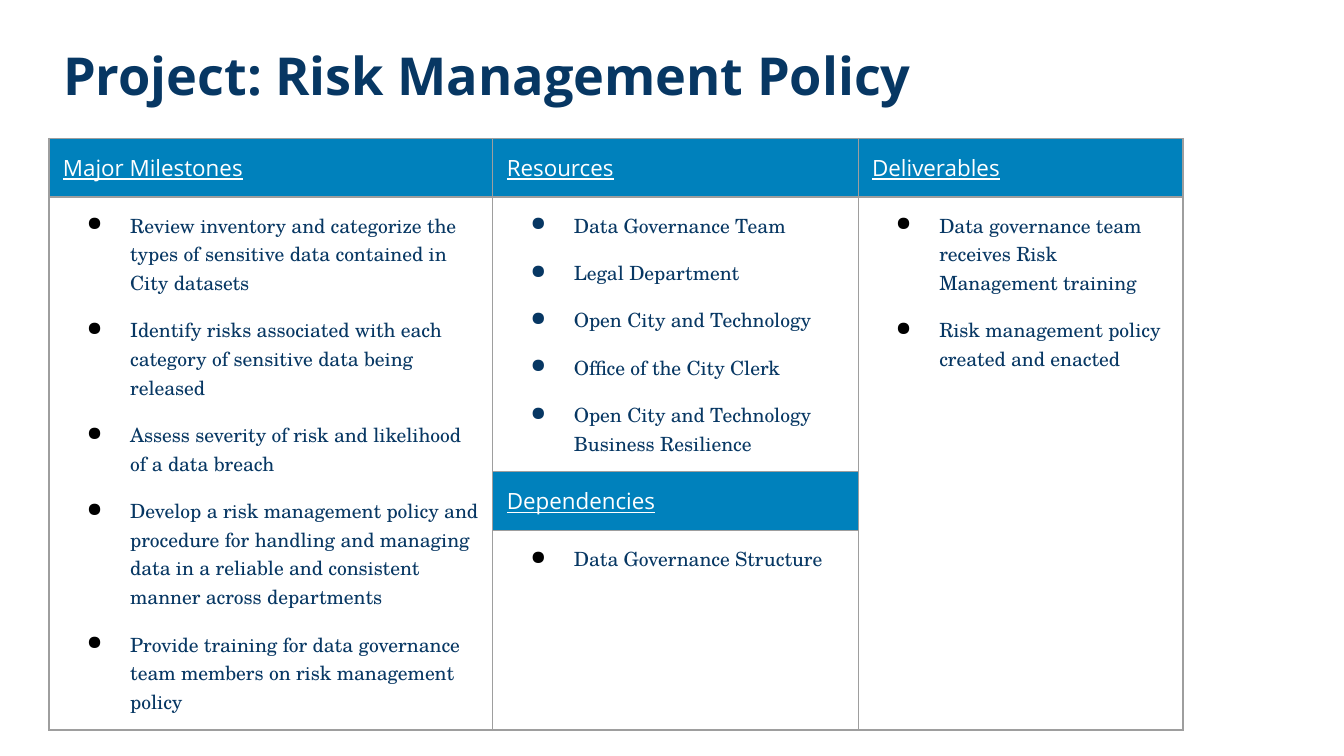
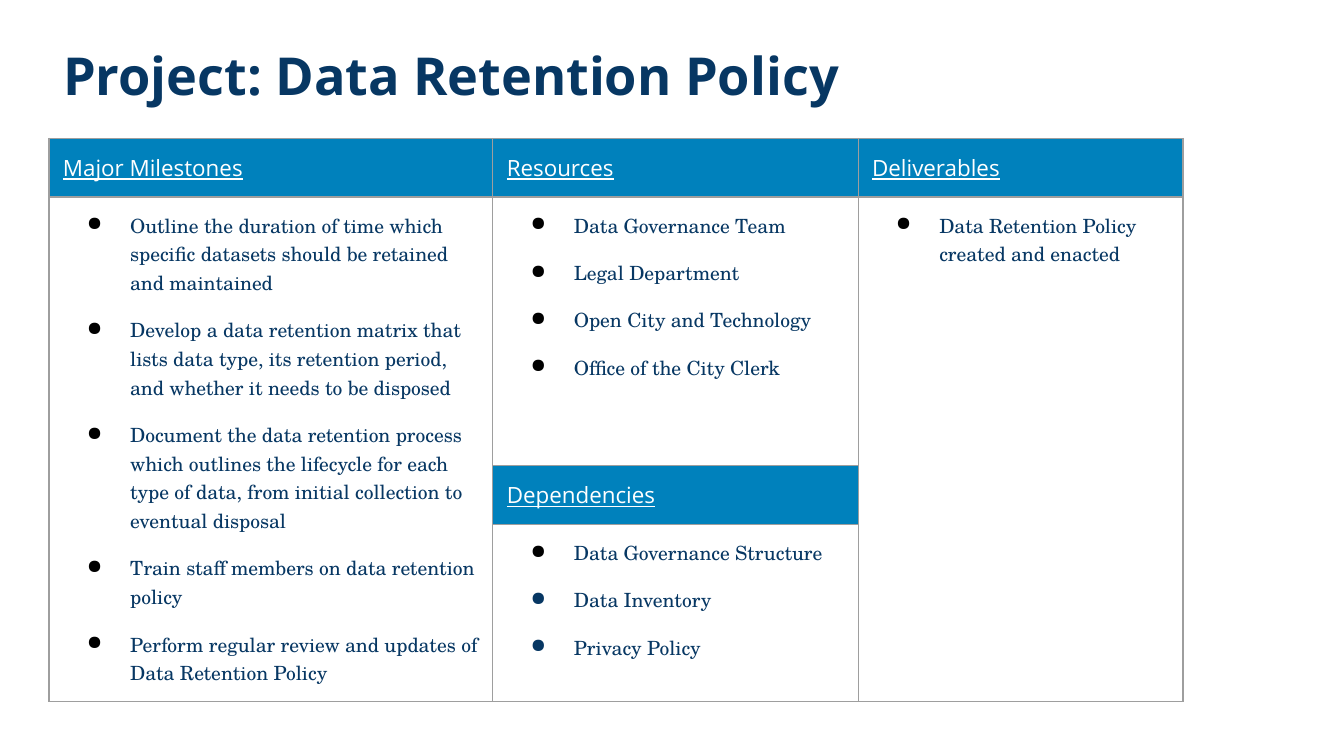
from dataclasses import dataclass

from lxml.etree import SubElement
from pptx import Presentation
from pptx.dml.color import RGBColor
from pptx.enum.text import MSO_ANCHOR, MSO_AUTO_SIZE, PP_ALIGN
from pptx.oxml import parse_xml
from pptx.oxml.ns import nsdecls, qn
from pptx.util import Pt

PX = 9525


@dataclass(frozen=True)
class Theme:
    navy: str = "073763"
    blue: str = "0081BC"
    white: str = "FFFFFF"
    black: str = "000000"
    rule: str = "9E9E9E"
    heading_font: str = "Open Sans"
    body_font: str = "TeX Gyre Schola"
    title_size: float = 28
    heading_size: float = 12
    body_size: float = 10.5
    item_gap: float = 10
    rule_width: float = 0.75


theme = Theme()
INSET = 10 * PX
BULLET_LEFT, BULLET_HANG = 48 * PX, 31 * PX
COLUMN_WIDTHS = [317, 261, 232]
HEADINGS = {
    (0, 0): "Major Milestones",
    (0, 1): "Resources",
    (0, 2): "Deliverables",
    (2, 1): "Dependencies",
}

projects = [
    {
        "title": "Project: Risk Management Policy",
        "row_heights": [36, 179, 36, 108],
        "lists": {
            (1, 0): [
                "Review inventory and categorize the types of sensitive data contained in City datasets",
                "Identify risks associated with each category of sensitive data being released",
                "Assess severity of risk and likelihood of a data breach",
                "Develop a risk management policy and procedure for handling and managing data "
                "in a reliable and consistent manner across departments",
                "Provide training for data governance team members on risk management policy",
            ],
            (1, 1): [
                "Data Governance Team",
                "Legal Department",
                "Open City and Technology",
                "Office of the City Clerk",
                "Open City and Technology Business Resilience",
            ],
            (1, 2): [
                "Data governance team receives Risk Management training",
                "Risk management policy created and enacted",
            ],
            (3, 1): ["Data Governance Structure"],
        },
        "navy_bullets_from": {(1, 1): 0},
    },
    {
        "title": "Project: Data Retention Policy",
        "row_heights": [21, 192, 17, 94],
        "lists": {
            (1, 0): [
                "Outline the duration of time which specific datasets should be retained and maintained",
                "Develop a data retention matrix that lists data type, its retention period, "
                "and whether it needs to be disposed",
                "Document the data retention process which outlines the lifecycle for each "
                "type of data, from initial collection to eventual disposal",
                "Train staff members on data retention policy",
                "Perform regular review and updates of Data Retention Policy",
            ],
            (1, 1): [
                "Data Governance Team",
                "Legal Department",
                "Open City and Technology",
                "Office of the City Clerk",
            ],
            (1, 2): ["Data Retention Policy created and enacted"],
            (3, 1): ["Data Governance Structure", "Data Inventory", "Privacy Policy"],
        },
        "navy_bullets_from": {(3, 1): 1},
    },
]


def add_run(paragraph, text, font, size, color, bold=False, underline=False):
    run = paragraph.add_run()
    run.text = text
    run.font.name = font
    run.font.size = Pt(size)
    run.font.color.rgb = RGBColor.from_string(color)
    run.font.bold = bold
    run.font.underline = underline


def style_cell(cell, fill):
    cell.margin_left = cell.margin_right = INSET
    cell.margin_top = cell.margin_bottom = INSET
    cell.vertical_anchor = MSO_ANCHOR.TOP
    if fill:
        cell.fill.solid()
        cell.fill.fore_color.rgb = RGBColor.from_string(fill)
    else:
        cell.fill.background()
    properties = cell._tc.get_or_add_tcPr()
    for index, side in enumerate(["lnL", "lnR", "lnT", "lnB"]):
        properties.insert(index, parse_xml(
            f'<a:{side} {nsdecls("a")} w="{Pt(theme.rule_width)}"><a:solidFill>'
            f'<a:srgbClr val="{theme.rule}"/></a:solidFill></a:{side}>'
        ))


prs = Presentation()
prs.slide_width = 960 * PX
prs.slide_height = 540 * PX

for project in projects:
    slide = prs.slides.add_slide(prs.slide_layouts[5])
    title = slide.shapes.title
    title.left, title.top, title.width, title.height = 35 * PX, 21 * PX, 731 * PX, 60 * PX
    frame = title.text_frame
    frame.margin_left = frame.margin_right = frame.margin_top = frame.margin_bottom = INSET
    frame.word_wrap = True
    frame.auto_size = MSO_AUTO_SIZE.NONE
    frame.vertical_anchor = MSO_ANCHOR.TOP
    frame.paragraphs[0].alignment = PP_ALIGN.LEFT
    add_run(frame.paragraphs[0], project["title"], theme.heading_font,
            theme.title_size, theme.navy, bold=True)

    row_heights = project["row_heights"]
    plan = slide.shapes.add_table(
        len(row_heights), len(COLUMN_WIDTHS), 35 * PX, 99 * PX,
        sum(COLUMN_WIDTHS) * PX, sum(row_heights) * PX,
    ).table
    plan.first_row = plan.horz_banding = False
    for column, width in zip(plan.columns, COLUMN_WIDTHS):
        column.width = width * PX
    for row, height in zip(plan.rows, row_heights):
        row.height = height * PX
    for row in range(len(row_heights)):
        for column in range(len(COLUMN_WIDTHS)):
            style_cell(plan.cell(row, column), theme.blue if (row, column) in HEADINGS else None)
    for column in (0, 2):
        plan.cell(1, column).merge(plan.cell(3, column))

    for place, heading in HEADINGS.items():
        add_run(plan.cell(*place).text_frame.paragraphs[0], heading, theme.heading_font,
                theme.heading_size, theme.white, underline=True)

    for place, items in project["lists"].items():
        body = plan.cell(*place).text_frame
        navy_from = project["navy_bullets_from"].get(place, len(items))
        for index, item in enumerate(items):
            paragraph = body.add_paragraph() if index else body.paragraphs[0]
            paragraph.space_before = Pt(theme.item_gap if index else 0)
            is_last = index == len(items) - 1
            paragraph.space_after = Pt(theme.item_gap if is_last and place != (1, 0) else 0)
            layout = paragraph._p.get_or_add_pPr()
            layout.set("marL", str(BULLET_LEFT))
            layout.set("indent", str(-BULLET_HANG))
            bullet_color = SubElement(layout, qn("a:buClr"))
            SubElement(bullet_color, qn("a:srgbClr")).set(
                "val", theme.navy if index >= navy_from else theme.black)
            SubElement(layout, qn("a:buChar")).set("char", "●")
            add_run(paragraph, item, theme.body_font, theme.body_size, theme.navy)

prs.save("out.pptx")
